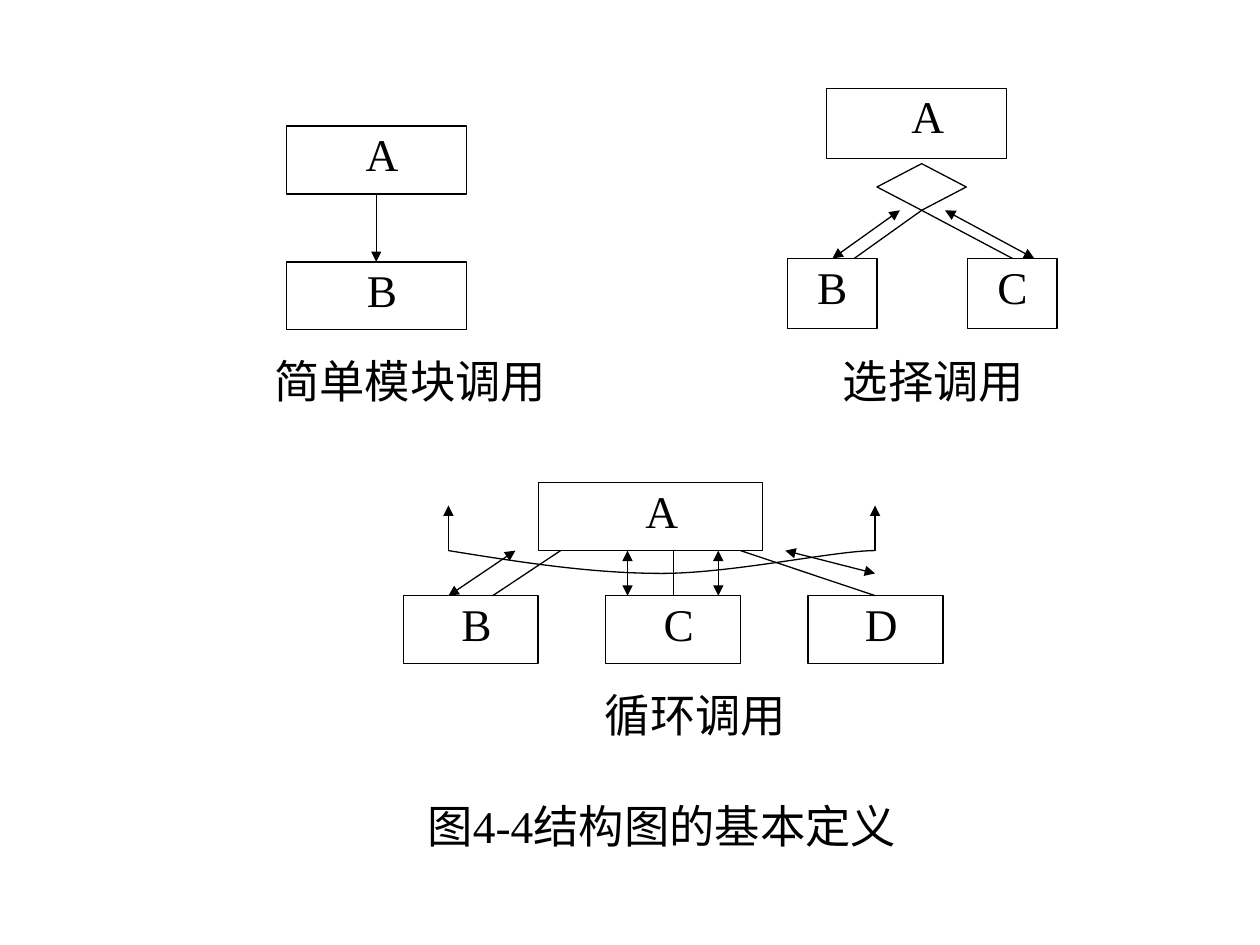
from lxml import etree
from pptx import Presentation
from pptx import util as u
from pptx.dml.color import RGBColor
from pptx.enum import shapes, text
from pptx.oxml.ns import qn

COLORS = {"ink": "000000"}
FONT, SIZE = "Times New Roman", 25.9
INSET, SPACE = 0.25, 0.23  # cm: side inset of a text, extra left inset per step
TOP, BOTTOM = 0, 2         # connection sites

# boxes: name -> (left, top, width, height, label, left inset steps)
# lines: (from, to, arrowheads); an end is a point or (box name, site)
FIGURES = [
    {
        "boxes": {
            "A": (5.77, 2.54, 3.63, 1.37, "A", 1),
            "B": (5.77, 5.28, 3.63, 1.37, "B", 1),
        },
        "lines": [(("A", BOTTOM), ("B", TOP), "tail")],
        "caption": (4.88, 7.11, 6.78, 1.37, "简单模块调用", 0),
    },
    {
        "boxes": {
            "A": (16.66, 1.78, 3.63, 1.42, "A", 2),
            "B": (15.88, 5.21, 1.8, 1.42, "B", 0),
            "C": (19.51, 5.21, 1.8, 1.42, "C", 0),
            "choice": (17.68, 3.3, 1.8, 0.94, "", 0),
        },
        "lines": [
            (("choice", BOTTOM), (17.22, 5.21), ""),
            (("choice", BOTTOM), ("C", TOP), ""),
            ((18.14, 4.24), ("B", TOP), "head tail"),
            ((20.85, 5.21), (19.05, 4.24), "head tail"),
        ],
        "caption": (16.33, 7.11, 4.98, 1.42, "选择调用", 0),
    },
    {
        "boxes": {
            "A": (10.85, 9.73, 4.52, 1.37, "A", 2),
            **{n: (8.13 + 4.08 * i, 12.01, 2.72, 1.37, n, 1)
               for i, n in enumerate("BCD")},
        },
        "lines": [
            ((11.3, 11.1), (9.93, 12.01), ""),
            ((13.57, 11.1), ("C", TOP), ""),
            ((14.93, 11.1), ("D", TOP), ""),
            ((10.39, 11.1), (9.04, 12.01), "head tail"),
            ((12.65, 11.1), (12.65, 12.01), "head tail"),
            ((14.48, 11.1), (14.48, 12.01), "head tail"),
            ((15.83, 11.1), (17.64, 11.56), "head tail"),
            ((9.04, 11.1), (9.04, 10.19), "tail"),
            ((17.64, 11.1), (17.64, 10.19), "tail"),
        ],
        "loop": [(9.04, 11.1), (10.46, 11.33), (11.91, 11.56), (13.34, 11.56),
                 (14.76, 11.56), (16.84, 11.1), (17.64, 11.1)],
        "caption": (11.3, 13.84, 5.44, 1.37, "循环调用", 0),
    },
]
TITLE = (6.78, 16.08, 12.67, 1.37, "图4-4结构图的基本定义", 2)


def cm(values):
    return [u.Cm(v) for v in values]


def ink_line(line):
    line.color.rgb = RGBColor.from_string(COLORS["ink"])
    line.width = u.Pt(0.75)


def outline(sp):
    sp.shadow.inherit = False
    sp.fill.background()
    ink_line(sp.line)


def write(sp, label, steps):
    tf = sp.text_frame
    tf.word_wrap = True
    tf.vertical_anchor = text.MSO_ANCHOR.TOP
    tf.margin_left = u.Cm(INSET + SPACE * steps)
    tf.margin_right = u.Cm(INSET)
    tf.margin_top = tf.margin_bottom = u.Cm(0.13)
    p = tf.paragraphs[0]
    p.alignment = text.PP_ALIGN.CENTER
    p.line_spacing = 0.9
    r = p.add_run()
    r.text = label
    r.font.name, r.font.size = FONT, u.Pt(SIZE)
    r.font.color.rgb = RGBColor.from_string(COLORS["ink"])


def add_text(tree, item):
    *place, label, steps = item
    write(tree.add_textbox(*cm(place)), label, steps)


def add_box(tree, item):
    """Labelled rectangle, or a diamond where there is no label."""
    *place, label, steps = item
    kind = shapes.MSO_SHAPE.RECTANGLE if label else shapes.MSO_SHAPE.DIAMOND
    sp = tree.add_shape(kind, *cm(place))
    outline(sp)
    if label:
        write(sp, label, steps)
    return sp


def add_line(tree, boxes, start, end, heads):
    points = [(0, 0) if e[0] in boxes else e for e in (start, end)]
    c = tree.add_connector(shapes.MSO_CONNECTOR.STRAIGHT, *cm(points[0] + points[1]))
    for e, join in ((start, c.begin_connect), (end, c.end_connect)):
        if e[0] in boxes:
            join(boxes[e[0]], e[1])
    ink_line(c.line)
    ln = c.line._get_or_add_ln()
    for head in heads.split():
        etree.SubElement(ln, qn(f"a:{head}End"), type="triangle")
    etree.SubElement(c._element.spPr, qn("a:effectLst"))


def add_curve(tree, points):
    """Open Bezier curve: a start point, then three points per segment."""
    start, *rest = [cm(pt) for pt in points]
    builder = tree.build_freeform(*start, scale=1.0)
    builder.add_line_segments(rest, close=False)
    sp = builder.convert_to_shape()
    path = next(sp._element.iter(qn("a:path")))
    steps = path.findall(qn("a:lnTo"))
    for i in range(0, len(steps), 3):
        bezier = etree.SubElement(path, qn("a:cubicBezTo"))
        for step in steps[i:i + 3]:
            bezier.append(step[0])
            path.remove(step)
    outline(sp)


prs = Presentation()
prs.slide_width, prs.slide_height = cm((25.4, 19.05))
s = prs.slides.add_slide(prs.slide_layouts[6])
for figure in FIGURES:
    tree = s.shapes.add_group_shape().shapes
    boxes = {name: add_box(tree, item) for name, item in figure["boxes"].items()}
    for line in figure["lines"]:
        add_line(tree, boxes, *line)
    if "loop" in figure:
        add_curve(tree, figure["loop"])
    add_text(tree, figure["caption"])
add_text(s.shapes, TITLE)
prs.save("out.pptx")
